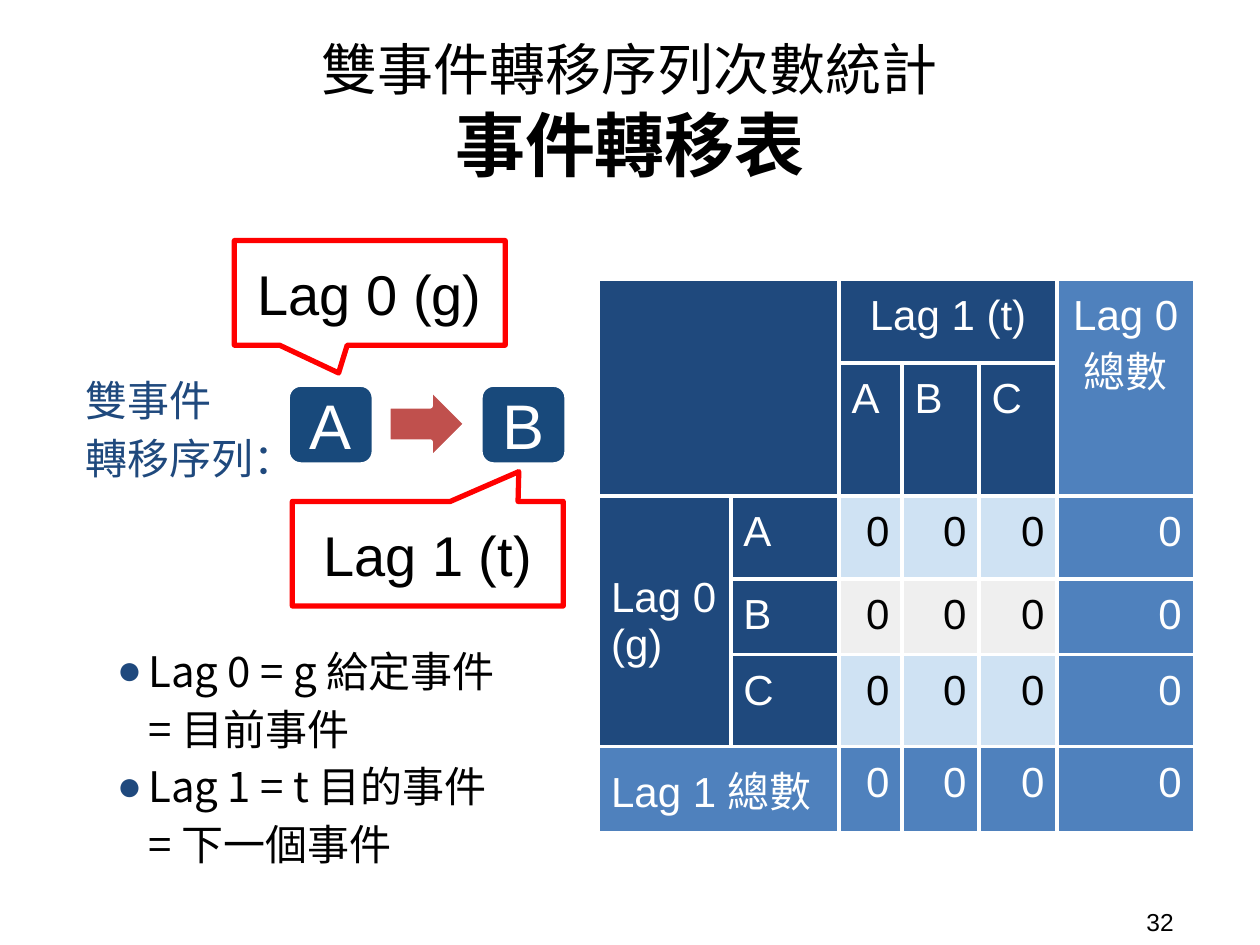
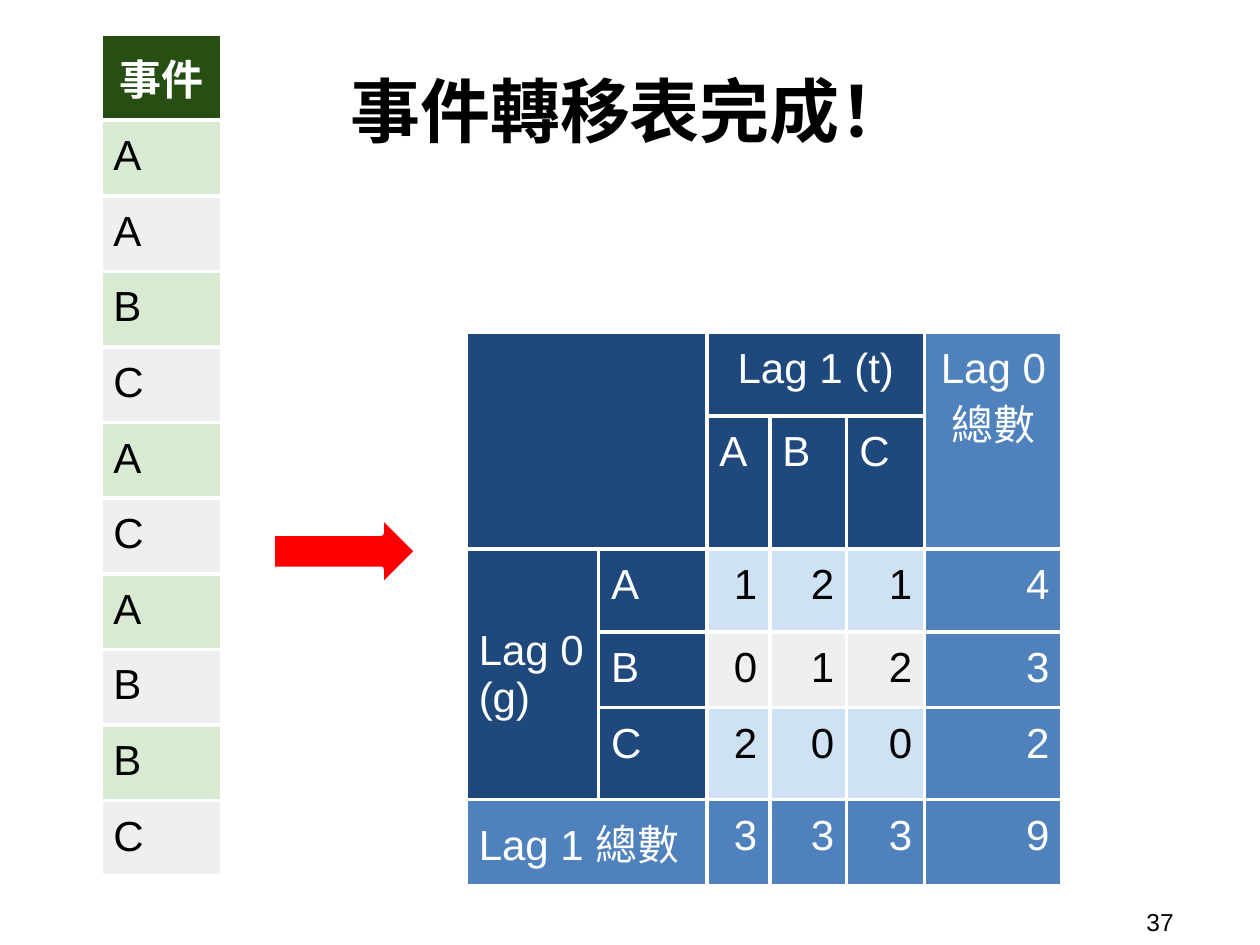
from collections import Counter
from itertools import pairwise

from lxml.etree import SubElement
from pptx import Presentation
from pptx.dml.color import RGBColor
from pptx.enum.shapes import MSO_SHAPE
from pptx.enum.text import MSO_ANCHOR, MSO_AUTO_SIZE, PP_ALIGN
from pptx.oxml.ns import qn
from pptx.util import Inches, Pt

NAVY, BLUE, EVENT_BLUE = "1F497D", "4F81BD", "18497B"
PALE_BLUE, GRAY = "CFE2F3", "EFEFEF"
DARK_GREEN, PALE_GREEN = "274E13", "D9EAD3"
RED, BRICK, WHITE, BLACK = "FF0000", "C0504D", "FFFFFF", "000000"
LATIN, CHINESE = "Arial", "Noto Sans CJK TC"
MARGIN = Inches(0.1)

STATES = "ABC"
EVENTS = "AABCACABBC"
TRANSITION_COLUMNS = [1.05, 0.86, 0.5, 0.61, 0.62, 1.09]
TRANSITION_ROWS = [0.66, 1.05, 0.66, 0.6, 0.73, 0.67]


def color(value):
    return RGBColor.from_string(value)


def apply(target, values):
    for name, value in values.items():
        setattr(target, name, value)


def box(left, top, width, height):
    return [Inches(value) for value in (left, top, width, height)]


class SlideBuilder:
    def __init__(self, presentation):
        self.presentation = presentation
        self.slide = None

    def new_slide(self, title, number):
        """Start a slide; title is a list of (line, size, bold)."""
        self.slide = self.presentation.slides.add_slide(
            self.presentation.slide_layouts[5])
        shape = self.slide.shapes.title
        left, top, width, height = box(0.52, 0.19, 8.96, 1.36)
        apply(shape, dict(left=left, top=top, width=width, height=height))
        self.fill_frame(shape.text_frame, "\n".join(line for line, *_ in title),
                        align=PP_ALIGN.CENTER, font=CHINESE)
        for paragraph, (_, size, bold) in zip(shape.text_frame.paragraphs, title):
            apply(paragraph.runs[0].font, dict(size=Pt(size), bold=bold))
        self.text(str(number), (9, 7.17, 0.92, 0.29), size=14)

    def format_paragraph(self, paragraph, size, ink, bold, align, font, spacing):
        apply(paragraph, dict(alignment=align, line_spacing=spacing))
        for run in paragraph.runs:
            apply(run.font, dict(size=Pt(size), name=font, bold=bold))
            run.font.color.rgb = color(ink)
            SubElement(run.font._element, qn("a:ea"), typeface=CHINESE)

    def fill_frame(self, frame, text, size=24, ink=BLACK, bold=False,
                   align=PP_ALIGN.LEFT, font=LATIN, spacing=1.0,
                   anchor=MSO_ANCHOR.MIDDLE, bullet=None):
        frame.text = text
        apply(frame, dict(
            word_wrap=True, auto_size=MSO_AUTO_SIZE.NONE, vertical_anchor=anchor,
            margin_left=MARGIN, margin_right=MARGIN,
            margin_top=MARGIN, margin_bottom=MARGIN))
        for paragraph in frame.paragraphs:
            if bullet:
                self.add_bullet(paragraph, bullet)
            self.format_paragraph(paragraph, size, ink, bold, align, font, spacing)

    def add_bullet(self, paragraph, ink):
        properties = paragraph._p.get_or_add_pPr()
        properties.set("marL", str(Inches(0.5)))
        properties.set("indent", str(Inches(-0.25)))
        bullet_color = SubElement(properties, qn("a:buClr"))
        SubElement(bullet_color, qn("a:srgbClr"), val=ink)
        SubElement(properties, qn("a:buFont"), typeface=LATIN)
        SubElement(properties, qn("a:buChar"), char="●")

    def text(self, text, place, **style):
        frame = self.slide.shapes.add_textbox(*box(*place)).text_frame
        self.fill_frame(frame, text, **style)

    def shape(self, kind, place, fill, line=WHITE, adjustments=(), text="", **style):
        shape = self.slide.shapes.add_shape(kind, *box(*place))
        shape.shadow.inherit = False
        shape.fill.solid()
        shape.fill.fore_color.rgb = color(fill)
        shape.line.color.rgb = color(line)
        shape.line.width = Pt(3)
        for index, value in enumerate(adjustments):
            shape.adjustments[index] = value
        if text:
            self.fill_frame(shape.text_frame, text, align=PP_ALIGN.CENTER, **style)

    def event_box(self, text, left):
        self.shape(MSO_SHAPE.ROUNDED_RECTANGLE, (left, 3.05, 0.69, 0.64), EVENT_BLUE,
                   adjustments=[0.167], text=text, size=36, ink=WHITE)

    def callout(self, text, left, top, tip):
        self.shape(MSO_SHAPE.ROUNDED_RECTANGULAR_CALLOUT, (left, top, 2.15, 0.83),
                   WHITE, RED, [*tip, 0], text=text, size=32)

    def arrow(self, place, fill):
        self.shape(MSO_SHAPE.RIGHT_ARROW, place, fill)

    def table(self, left, top, columns, rows):
        frame = self.slide.shapes.add_table(
            len(rows), len(columns), *box(left, top, sum(columns), sum(rows)))
        table = frame.table
        apply(table, dict(first_row=False, horz_banding=False))
        for column, width in zip(table.columns, columns):
            column.width = Inches(width)
        for row, height in zip(table.rows, rows):
            row.height = Inches(height)
        return table

    def cell(self, cell, fill, text="", ink=WHITE, bold=False,
             align=PP_ALIGN.LEFT, anchor=MSO_ANCHOR.TOP):
        cell.text = text
        apply(cell, dict(
            vertical_anchor=anchor, margin_left=MARGIN, margin_right=MARGIN,
            margin_top=MARGIN, margin_bottom=MARGIN))
        properties = cell._tc.get_or_add_tcPr()
        for side in "LRTB":
            border = SubElement(properties, qn(f"a:ln{side}"), w=str(Pt(2.25)))
            border_fill = SubElement(border, qn("a:solidFill"))
            SubElement(border_fill, qn("a:srgbClr"), val=WHITE)
        cell.fill.solid()
        cell.fill.fore_color.rgb = color(fill)
        for paragraph in cell.text_frame.paragraphs:
            self.format_paragraph(paragraph, 24, ink, bold, align, LATIN, 1.0)

    def transition_table(self, left, top, events=""):
        """Count each event (row) followed by each next event (column)."""
        counts = Counter(pairwise(events))
        grid = [[counts[given, target] for target in STATES] for given in STATES]
        grid.append([sum(column) for column in zip(*grid)])
        table = self.table(left, top, TRANSITION_COLUMNS, TRANSITION_ROWS)
        center, middle = PP_ALIGN.CENTER, MSO_ANCHOR.MIDDLE
        labels = {
            (0, 2): dict(text="Lag 1 (t)", align=center),
            (0, 5): dict(text="Lag 0\n總數", align=center),
            (2, 0): dict(text="Lag 0\n(g)", anchor=middle),
            (5, 0): dict(text="Lag 1 總數", anchor=middle),
        }
        for index, state in enumerate(STATES, 2):
            labels[1, index] = labels[index, 1] = dict(text=state)
        for index, counted in enumerate(grid, 2):
            for column, value in enumerate([*counted, sum(counted)], 2):
                is_total = index == 5 or column == 5
                labels[index, column] = dict(
                    text=str(value), align=PP_ALIGN.RIGHT,
                    ink=WHITE if is_total else BLACK)
        for row in range(6):
            for column in range(6):
                if row == 5 or column == 5:
                    fill = BLUE
                elif row < 2 or column < 2:
                    fill = NAVY
                else:
                    fill = GRAY if row % 2 else PALE_BLUE
                self.cell(table.cell(row, column), fill, **labels.get((row, column), {}))
        for start, end in [((0, 0), (1, 1)), ((0, 2), (0, 4)), ((0, 5), (1, 5)),
                           ((2, 0), (4, 0)), ((5, 0), (5, 1))]:
            table.cell(*start).merge(table.cell(*end))

    def event_table(self, left, top, events):
        table = self.table(left, top, [0.96], [0.67] + [0.6] * len(events))
        self.cell(table.cell(0, 0), DARK_GREEN, "事件", bold=True,
                  align=PP_ALIGN.CENTER, anchor=MSO_ANCHOR.BOTTOM)
        for row, event in enumerate(events, 1):
            fill = PALE_GREEN if row % 2 else GRAY
            self.cell(table.cell(row, 0), fill, event, BLACK)


def build_empty_table_slide(builder):
    builder.new_slide([("雙事件轉移序列次數統計", 32, False),
                       ("事件轉移表", 40, True)], 32)
    builder.transition_table(4.75, 2.22)
    builder.text("Lag 0 = g 給定事件\v= 目前事件\nLag 1 = t 目的事件\v= 下一個事件",
                 (0.58, 4.96, 3.95, 2.21), font=CHINESE, spacing=1.15,
                 anchor=MSO_ANCHOR.TOP, bullet=NAVY)
    builder.event_box("A", 2.28)
    builder.event_box("B", 3.81)
    builder.arrow((3.08, 3.08, 0.62, 0.57), BRICK)
    builder.callout("Lag 0 (g)", 1.86, 1.91, (-0.115, 0.766))
    builder.callout("Lag 1 (t)", 2.32, 3.98, (0.336, -0.785))
    builder.text("雙事件\n轉移序列：", (0.58, 3.15, 1.97, 0.44), ink=NAVY, spacing=1.15)


def build_completed_table_slide(builder):
    builder.new_slide([("事件轉移表完成！", 40, True)], 37)
    builder.transition_table(3.7, 2.64, EVENTS)
    builder.event_table(0.8, 0.27, EVENTS)
    builder.arrow((2.16, 4.09, 1.15, 0.57), RED)


def main():
    presentation = Presentation()
    apply(presentation, dict(slide_width=Inches(10), slide_height=Inches(7.5)))
    builder = SlideBuilder(presentation)
    build_empty_table_slide(builder)
    build_completed_table_slide(builder)
    presentation.save("out.pptx")


if __name__ == "__main__":
    main()
